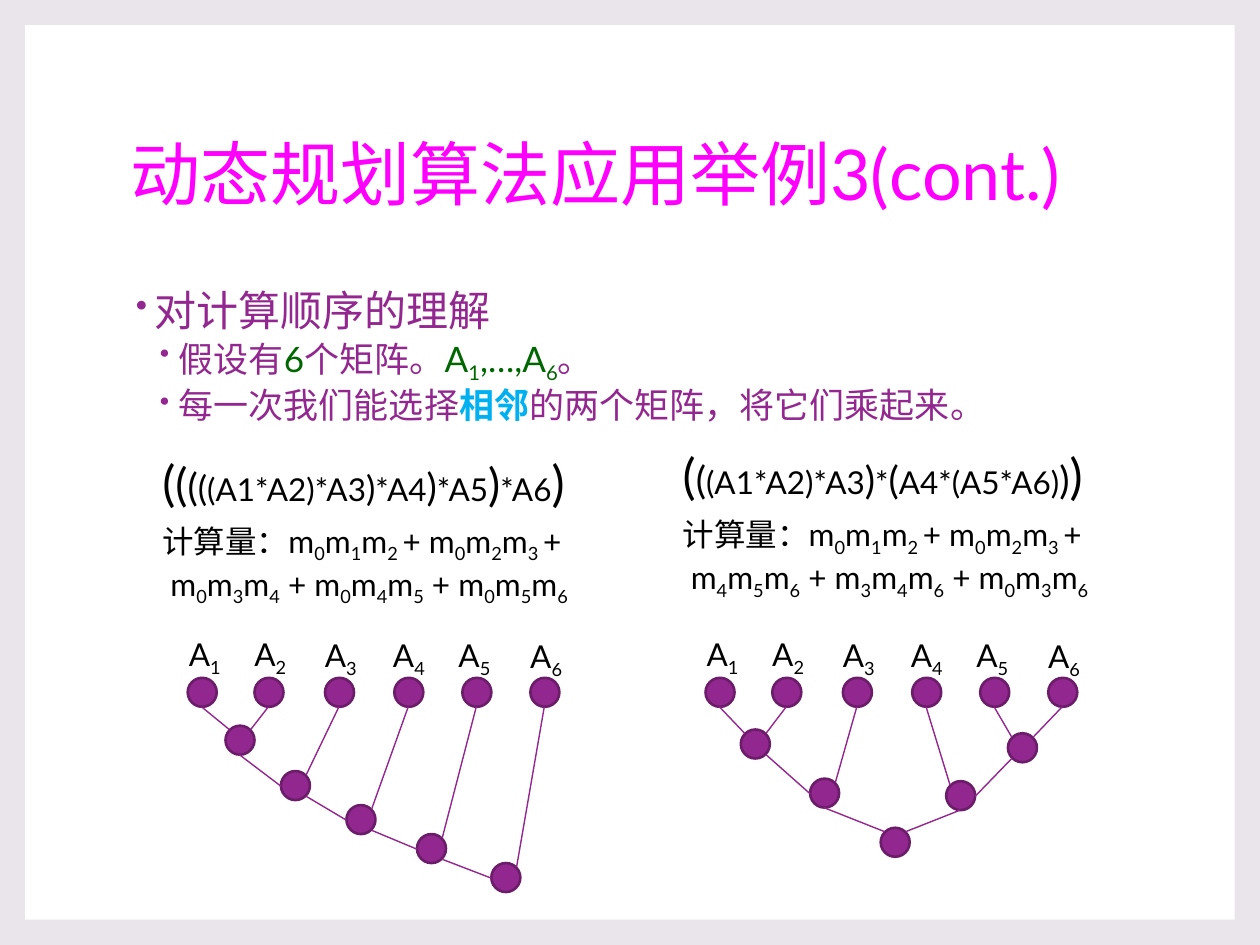
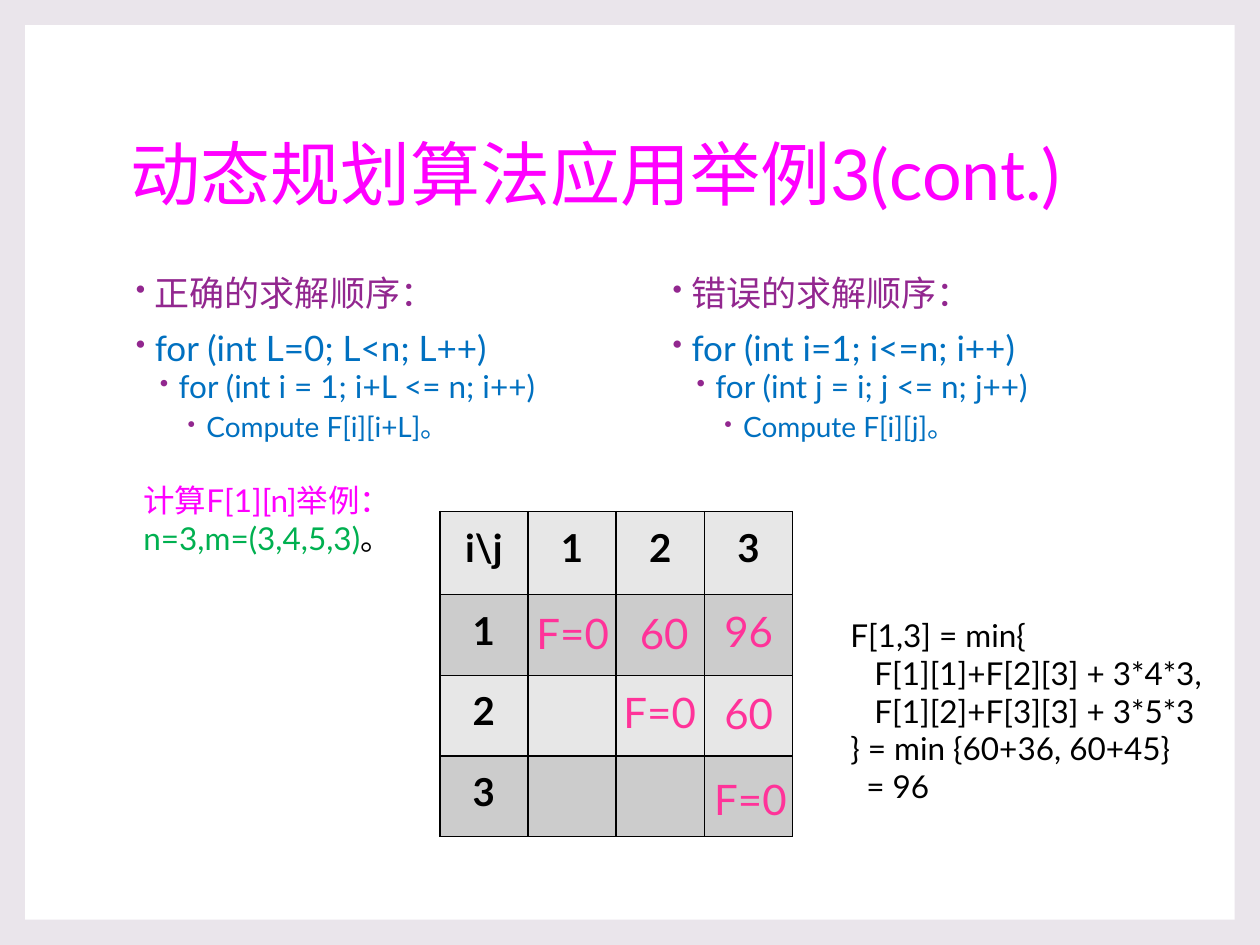
from dataclasses import dataclass

from lxml import etree
from pptx import Presentation
from pptx.dml.color import RGBColor
from pptx.enum.lang import MSO_LANGUAGE_ID
from pptx.enum.shapes import MSO_CONNECTOR, MSO_SHAPE
from pptx.enum.text import MSO_ANCHOR, MSO_AUTO_SIZE, PP_ALIGN
from pptx.oxml.ns import qn
from pptx.util import Pt

EMU_PER_PX = 9144
STRAIGHT = MSO_CONNECTOR.STRAIGHT
OVAL = MSO_SHAPE.OVAL
RECTANGLE = MSO_SHAPE.RECTANGLE
TOP = MSO_ANCHOR.TOP
MIDDLE = MSO_ANCHOR.MIDDLE
FIT_SHAPE = MSO_AUTO_SIZE.SHAPE_TO_FIT_TEXT
FIXED = MSO_AUTO_SIZE.NONE
CENTER = PP_ALIGN.CENTER
CHINESE = MSO_LANGUAGE_ID.SIMPLIFIED_CHINESE


@dataclass(frozen=True)
class Theme:
    font: str = "Lato"
    backdrop: str = "EAE5EB"
    panel: str = "FFFFFF"
    magenta: str = "FF00FF"
    purple: str = "92278F"
    node_edge: str = "6C1D6A"
    ink: str = "000000"
    matrix_green: str = "006600"
    example_green: str = "00B050"
    emphasis: str = "00B0F0"
    code: str = "0070C0"
    result: str = "FF3399"
    light_row: str = "E7E7E7"
    dark_row: str = "CCCCCC"
    title: int = 40
    topic: int = 24
    value: int = 24
    heading: int = 22
    point: int = 20
    text: int = 18
    detail: int = 16


THEME = Theme()
TITLE = "动态规划算法应用举例3(cont.)"
BULLET_LEVELS = [(19, 10, 0), (38, 1.5, 3), (60, 1.5, 3)]

NODE = 23
LEAF_TOP = 538
LEAF_LEFTS = [149, 202, 258, 313, 367, 421]
LABEL_SPOTS = [(140, 499), (192, 499), (248, 500), (302, 500), (354, 500), (411, 501)]
SITES = {"nw": (3, 3), "ne": (20, 3), "sw": (3, 20), "se": (20, 20),
         "w": (0, 12), "e": (23, 12), "s": (11, 23)}


@dataclass
class Line:
    spans: list
    level: int | None = None
    before: float = 0
    spacing: float | None = None


def px(length):
    return length * EMU_PER_PX


def place(box):
    return [px(length) for length in box]


def rgb(value):
    return RGBColor.from_string(value)


def span(text, size=THEME.text, colour=THEME.ink, bold=False):
    return text, size, colour, bold


def write_span(paragraph, text, size, colour, bold):
    # noqa-free markup: text between tildes is set as subscript
    for position, piece in enumerate(text.split("~")):
        if not piece:
            continue
        run = paragraph.add_run()
        run.text = piece
        font = run.font
        font.name = THEME.font
        font.size = Pt(size)
        font.bold = bold
        font.color.rgb = rgb(colour)
        font.language_id = CHINESE
        if position % 2:
            run._r.get_or_add_rPr().set("baseline", "-25000")


def add_bullet(paragraph, indent):
    properties = paragraph._p.get_or_add_pPr()
    properties.set("marL", str(px(indent)))
    properties.set("indent", str(px(-15)))
    colour = etree.SubElement(properties, qn("a:buClr"))
    etree.SubElement(colour, qn("a:srgbClr")).set("val", THEME.purple)
    etree.SubElement(properties, qn("a:buSzPct")).set("val", "80000")
    etree.SubElement(properties, qn("a:buChar")).set("char", "•")


def add_text(shapes, box, lines, anchor=TOP, fit=FIT_SHAPE):
    frame = shapes.add_textbox(*place(box)).text_frame
    frame.word_wrap = True
    frame.auto_size = fit
    frame.vertical_anchor = anchor
    for index, line in enumerate(lines):
        paragraph = frame.add_paragraph() if index else frame.paragraphs[0]
        before, after, spacing = line.before, 0, line.spacing
        if line.level is not None:
            indent, before, after = BULLET_LEVELS[line.level]
            spacing = 0.9
            paragraph.level = line.level
            add_bullet(paragraph, indent)
        paragraph.space_before = Pt(before if index else 0)
        paragraph.space_after = Pt(after)
        if spacing:
            paragraph.line_spacing = spacing
        for part in line.spans:
            write_span(paragraph, *part)


def add_filled(shapes, preset, box, fill, edge=None):
    shape = shapes.add_shape(preset, *place(box))
    shape.shadow.inherit = False
    shape.fill.solid()
    shape.fill.fore_color.rgb = rgb(fill)
    if edge:
        shape.line.color.rgb = rgb(edge)
        shape.line.width = Pt(1.5)
    else:
        shape.line.fill.background()


def add_edge(shapes, start, end):
    edge = shapes.add_connector(STRAIGHT, *place(start + end))
    edge.line.color.rgb = rgb(THEME.purple)
    edge.line.width = Pt(0.79)
    etree.SubElement(edge._element.spPr, qn("a:effectLst"))


def add_tree(slide, shift, joints, edges):
    shapes = slide.shapes.add_group_shape().shapes
    nodes = {f"A{i}": (left + shift, LEAF_TOP) for i, left in enumerate(LEAF_LEFTS, 1)}
    nodes.update(joints)
    for left, top in nodes.values():
        add_filled(shapes, OVAL, (left, top, NODE, NODE), THEME.purple, THEME.node_edge)
    for i, (left, top) in enumerate(LABEL_SPOTS, 1):
        add_text(shapes, (left + shift, top, 52, 40), [Line([span(f"A~{i}~")])])
    for ends in edges:
        points = []
        for node, site in (end.split(".") for end in ends.split()):
            (left, top), (dx, dy) = nodes[node], SITES[site]
            points.append((left + dx, top + dy))
        add_edge(shapes, *points)


def add_expression(slide, left, top, brackets, cost_lines):
    first, second = cost_lines
    add_text(slide.shapes, (left, top, 385, 126), [
        Line([span(text, size) for text, size in brackets]),
        Line([span(first)], before=6),
        Line([span(second)]),
    ])


def add_border(cell):
    properties = cell._tc.get_or_add_tcPr()
    for index, side in enumerate(("lnL", "lnR", "lnT", "lnB")):
        border = etree.Element(qn(f"a:{side}"), w=str(Pt(1)))
        fill = etree.SubElement(border, qn("a:solidFill"))
        etree.SubElement(fill, qn("a:srgbClr")).set("val", THEME.ink)
        properties.insert(index, border)


def add_cost_table(slide):
    heads = ["i\\j", "1", "2", "3"]
    count = len(heads)
    table = slide.shapes.add_table(count, count, *place((349, 406, 280, 258))).table
    table.first_row = table.horz_banding = False
    for i in range(count):
        table.columns[i].width = px(70)
        table.rows[i].height = px(64 if i else 66)
        for j in range(count):
            cell = table.cell(i, j)
            cell.fill.solid()
            cell.fill.fore_color.rgb = rgb(THEME.dark_row if i % 2 else THEME.light_row)
            cell.margin_left = cell.margin_right = 0
            cell.margin_top = cell.margin_bottom = px(10)
            add_border(cell)
            if i == 0 or j == 0:
                paragraph = cell.text_frame.paragraphs[0]
                paragraph.alignment = CENTER
                write_span(paragraph, *span(heads[i + j], THEME.heading, bold=True))


def add_loops(slide, left, heading, outer, inner, step):
    add_text(slide.shapes, (left, 214, 357, 165), [
        Line([span(heading, THEME.point, THEME.purple)], level=0),
        Line([span(outer, THEME.point, THEME.code)], level=0),
        Line([span(inner, THEME.text, THEME.code)], level=1),
        Line([span(step, THEME.detail, THEME.code)], level=2),
    ], fit=FIXED)


def add_titled_slide(deck):
    slide = deck.slides.add_slide(deck.slide_layouts[6])
    slide.background.fill.solid()
    slide.background.fill.fore_color.rgb = rgb(THEME.backdrop)
    add_filled(slide.shapes, RECTANGLE, (20, 20, 960, 710), THEME.panel)
    title = Line([span(TITLE, THEME.title, THEME.magenta)], spacing=0.9)
    add_text(slide.shapes, (94, 67, 810, 148), [title], MIDDLE, FIXED)
    return slide


def build_order_slide(deck):
    slide = add_titled_slide(deck)
    add_text(slide.shapes, (94, 225, 810, 162), [
        Line([span("对计算顺序的理解", THEME.topic, THEME.purple)], level=0),
        Line([span("假设有", THEME.point, THEME.purple),
              span("6", THEME.point, THEME.matrix_green),
              span("个矩阵。", THEME.point, THEME.purple),
              span("A~1~,…,A~6~", THEME.point, THEME.matrix_green),
              span("。", THEME.point, THEME.purple)], level=1),
        Line([span("每一次我们能选择", THEME.point, THEME.purple),
              span("相邻", THEME.point, THEME.emphasis, True),
              span("的两个矩阵，将它们乘起来。", THEME.point, THEME.purple)], level=1),
    ], fit=FIXED)

    chain = {"J1": (179, 576), "J2": (223, 612), "J3": (275, 639),
             "J4": (331, 662), "J5": (390, 685)}
    chain_edges = ["A1.s J1.nw", "J1.s J2.w"]
    chain_edges += [f"A{i + 1}.s J{i}.ne" for i in range(1, 6)]
    chain_edges += [f"J{i}.se J{i + 1}.w" for i in range(2, 5)]
    add_tree(slide, 0, chain, chain_edges)
    add_expression(slide, 119, 354, [
        ("(", 28), ("(", 26), ("(", 22), ("(", 20), ("(A1*A2)*A3", 18), (")", 20),
        ("*A4", 18), (")", 22), ("*A5", 18), (")", 26), ("*A6", 18), (")", 28),
    ], ["计算量：m~0~m~1~m~2 ~+ m~0~m~2~m~3 ~+",
        " m~0~m~3~m~4~ + m~0~m~4~m~5~ + m~0~m~5~m~6~"])

    balanced = {"A12": (588, 579), "A123": (643, 618), "A56": (800, 582),
                "A456": (751, 620), "root": (699, 657)}
    add_tree(slide, 411, balanced, [
        "A1.s A12.nw", "A2.s A12.ne", "A3.s A123.ne", "A12.se A123.w",
        "A6.s A56.ne", "A5.s A56.nw", "A4.s A456.nw", "A456.e A56.sw",
        "A123.s root.nw", "root.ne A456.s"])
    add_expression(slide, 532, 349, [
        ("(", 28), ("(", 22), ("(A1*A2)*A3", 18), (")", 22), ("*", 18), ("(", 22),
        ("A4*(A5*A6)", 18), (")", 22), (")", 28),
    ], ["计算量：m~0~m~1~m~2 ~+ m~0~m~2~m~3 ~+",
        " m~4~m~5~m~6~ + m~3~m~4~m~6~ + m~0~m~3~m~6~"])


def build_loop_slide(deck):
    slide = add_titled_slide(deck)
    add_loops(slide, 94, "正确的求解顺序：", "for (int L=0; L<n; L++)",
              "for (int i = 1; i+L <= n; i++)", "Compute F[i][i+L]。")
    add_loops(slide, 520, "错误的求解顺序：", "for (int i=1; i<=n; i++)",
              "for (int j = i; j <= n; j++)", "Compute F[i][j]。")
    add_text(slide.shapes, (104, 377, 234, 71), [
        Line([span("计算F[1][n]举例：", colour=THEME.magenta)]),
        Line([span("n=3,m=(3,4,5,3)", colour=THEME.example_green), span("。")]),
    ])
    add_cost_table(slide)
    for result, left, top, width in [
            ("F=0", 416, 477, 80), ("F=0", 485, 540, 80), ("F=0", 557, 609, 80),
            ("60", 498, 477, 60), ("60", 565, 541, 60), ("96", 565, 476, 60)]:
        add_text(slide.shapes, (left, top, width, 50),
                 [Line([span(result, THEME.value, THEME.result)])])
    derivation = ["F[1,3] = min{", "   F[1][1]+F[2][3] + 3*4*3,",
                  "   F[1][2]+F[3][3] + 3*5*3", "} = min {60+36, 60+45}", "  = 96"]
    add_text(slide.shapes, (665, 484, 309, 162), [Line([span(row)]) for row in derivation])


def main():
    deck = Presentation()
    deck.slide_width, deck.slide_height = px(1000), px(750)
    build_order_slide(deck)
    build_loop_slide(deck)
    deck.save("out.pptx")


if __name__ == "__main__":
    main()
